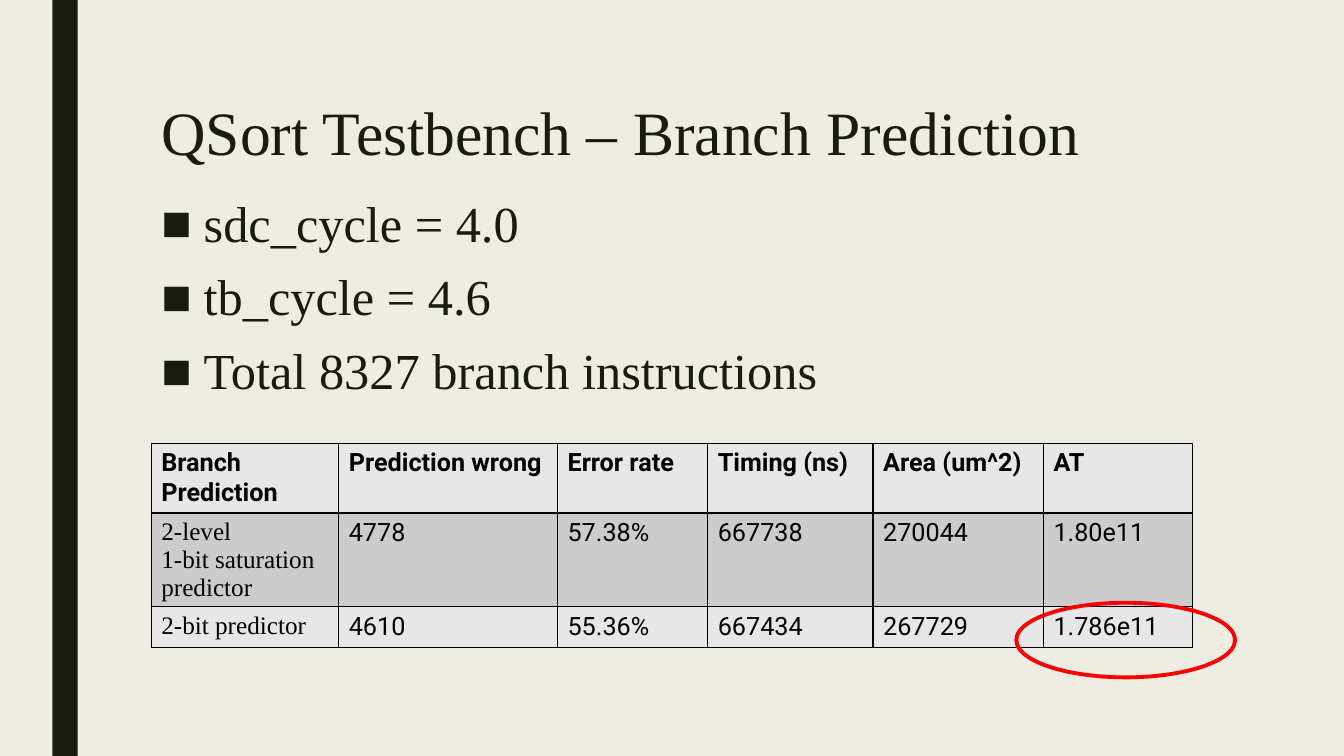
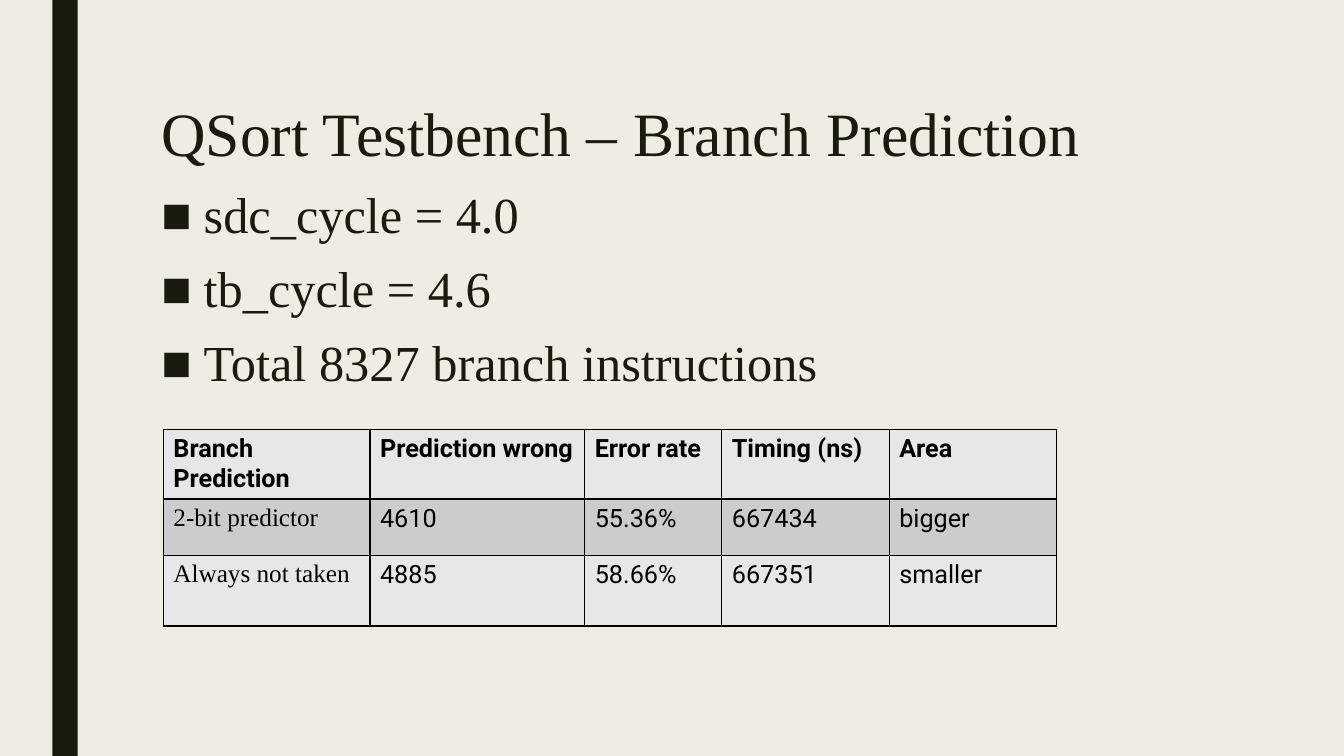
from lxml.etree import SubElement
from pptx import Presentation
from pptx.dml.color import RGBColor
from pptx.enum.shapes import MSO_SHAPE
from pptx.enum.text import MSO_ANCHOR, MSO_AUTO_SIZE, PP_ALIGN
from pptx.oxml import parse_xml
from pptx.oxml.ns import nsdecls, qn
from pptx.util import Inches, Pt

DARK, CREAM, BLACK, RED = "191B0E", "EFEDE3", "000000", "FF0000"
LIGHT_ROW, DARK_ROW = "E7E7E7", "CCCCCC"
SERIF, SANS = "Times New Roman", "Roboto"
TITLE = "QSort Testbench – Branch Prediction"
BULLETS = ["sdc_cycle = 4.0", "tb_cycle = 4.6", "Total 8327 branch instructions"]
HEADER = ["Branch Prediction", "Prediction wrong", "Error rate", "Timing (ns)"]

SLIDES = [
    dict(
        title_top=0.97, body_top=1.9, table_at=(1.5, 4.4),
        cols=[1.86, 2.17, 1.49, 1.64, 1.69, 1.48], heights=[0.69, 0.93, 0.4],
        rows=[
            HEADER + ["Area (um^2)", "AT"],
            ["2-level\n1-bit saturation predictor", "4778", "57.38%", "667738", "270044", "1.80e11"],
            ["2-bit predictor", "4610", "55.36%", "667434", "267729", "1.786e11"],
        ],
        ring=(10.08, 5.98, 2.17, 0.74),
    ),
    dict(
        title_top=0.98, body_top=1.82, table_at=(1.62, 4.26),
        cols=[2.05, 2.13, 1.36, 1.66, 1.66], heights=[0.69, 0.56, 0.7],
        rows=[
            HEADER + ["Area"],
            ["2-bit predictor", "4610", "55.36%", "667434", "bigger"],
            ["Always not taken", "4885", "58.66%", "667351", "smaller"],
        ],
        ring=None,
    ),
]


def rgb(value):
    return RGBColor.from_string(value)


def write(tf, text, size=18, font=SANS, color=BLACK, bold=False,
          spacing=None, before=0, after=0, bullet=None):
    tf.word_wrap = True
    tf.vertical_anchor = MSO_ANCHOR.TOP
    tf.text = text
    for p in tf.paragraphs:
        p.alignment = PP_ALIGN.LEFT
        p.line_spacing = spacing
        p.space_before, p.space_after = Pt(before), Pt(after)
        for r in p.runs:
            r.font.size, r.font.name, r.font.bold = Pt(size), font, bold
            r.font.color.rgb = rgb(color)
        if bullet:
            pPr = p._p.get_or_add_pPr()
            pPr.set("marL", str(Inches(0.42)))
            pPr.set("indent", str(Inches(-0.42)))
            SubElement(pPr, qn("a:buFont")).set("typeface", "Arial")
            SubElement(pPr, qn("a:buChar")).set("char", bullet)


prs = Presentation()
prs.slide_width, prs.slide_height = Inches(13.33), Inches(7.5)
layout = prs.slide_layouts[1]
slides = [prs.slides.add_slide(layout) for _ in SLIDES]

# Shared background and side bar, kept on the master
master = prs.slide_master
master.background.fill.solid()
master.background.fill.fore_color.rgb = rgb(CREAM)
bar = slides[0].shapes.add_shape(
    MSO_SHAPE.RECTANGLE, Inches(0.52), 0, Inches(0.25), prs.slide_height)
bar.shadow.inherit = False
bar.fill.solid()
bar.fill.fore_color.rgb = rgb(DARK)
bar.line.fill.background()
master.shapes.element.append(bar.element)

for s, data in zip(slides, SLIDES):
    # Title and bullet list
    title, body = s.placeholders
    for sp, top, width, height in [(title, data["title_top"], 10.75, 0.93),
                                   (body, data["body_top"], 10.5, 2.44)]:
        sp.left, sp.top = Inches(1.5), Inches(top)
        sp.width, sp.height = Inches(width), Inches(height)
        sp.text_frame.auto_size = MSO_AUTO_SIZE.NONE
    write(title.text_frame, TITLE, size=44, font=SERIF, color=DARK, spacing=0.89)
    write(body.text_frame, "\n".join(BULLETS), size=36, font=SERIF, color=DARK,
          spacing=0.94, before=10, after=2, bullet="■")

    # Results table
    rows, cols, heights = data["rows"], data["cols"], data["heights"]
    left, top = data["table_at"]
    table = s.shapes.add_table(len(rows), len(cols), Inches(left), Inches(top),
                               Inches(sum(cols)), Inches(sum(heights))).table
    table.first_row = table.horz_banding = False
    for column, width in zip(table.columns, cols):
        column.width = Inches(width)
    for i, (row, height) in enumerate(zip(rows, heights)):
        table.rows[i].height = Inches(height)
        for j, text in enumerate(row):
            cell = table.cell(i, j)
            cell.fill.solid()
            cell.fill.fore_color.rgb = rgb(DARK_ROW if i == 1 else LIGHT_ROW)
            write(cell.text_frame, text, bold=i == 0,
                  font=SERIF if i > 0 and j == 0 else SANS)
            tcPr = cell._tc.get_or_add_tcPr()
            for k, side in enumerate(["lnL", "lnR", "lnT", "lnB"]):
                tcPr.insert(k, parse_xml(
                    f'<a:{side} {nsdecls("a")} w="{Pt(1)}"><a:solidFill>'
                    f'<a:srgbClr val="{BLACK}"/></a:solidFill></a:{side}>'))

    # Ring around the best result
    if data["ring"]:
        ring = s.shapes.add_shape(MSO_SHAPE.OVAL, *map(Inches, data["ring"]))
        ring.shadow.inherit = False
        ring.fill.background()
        ring.line.color.rgb = rgb(RED)
        ring.line.width = Pt(2.75)

prs.save("out.pptx")
